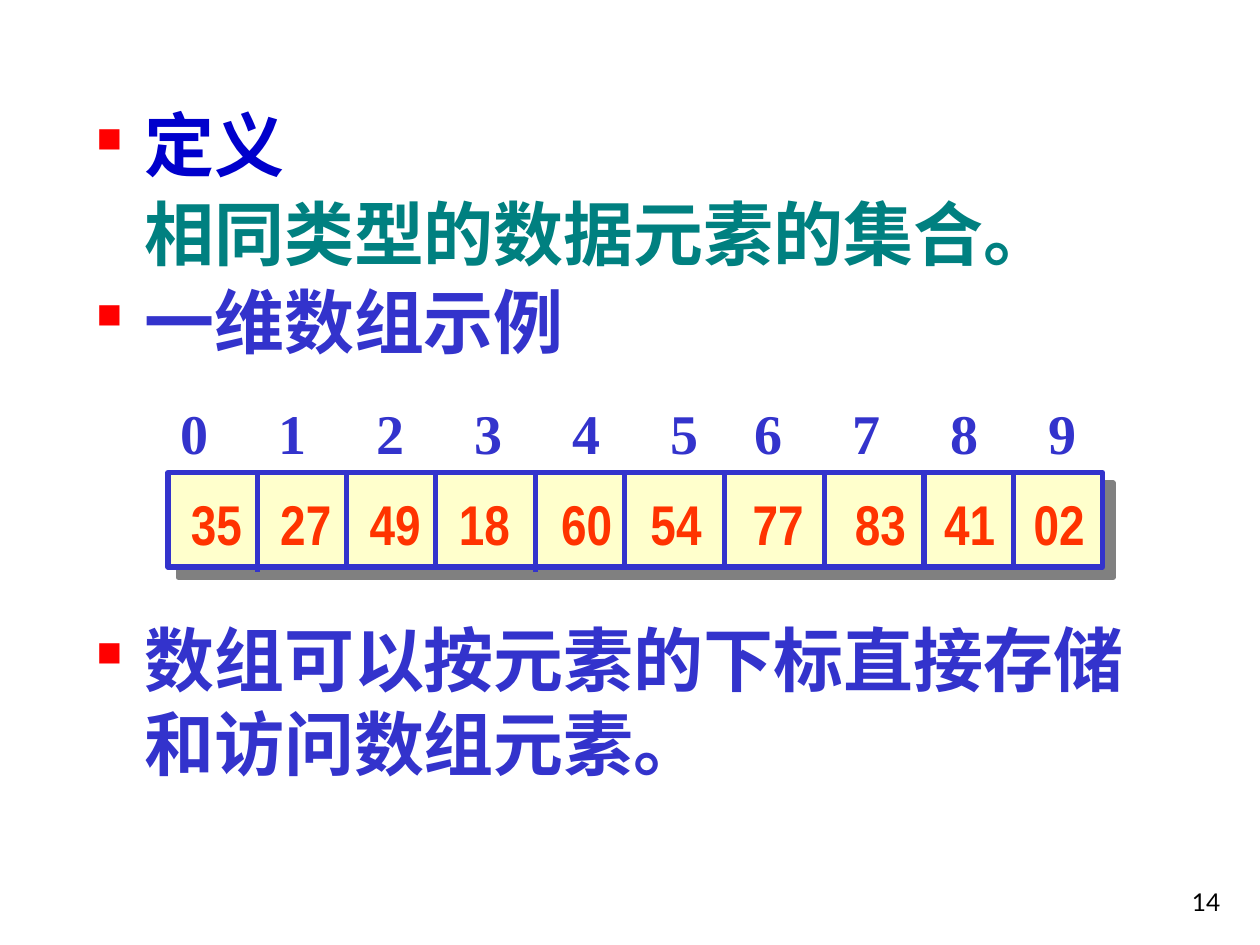
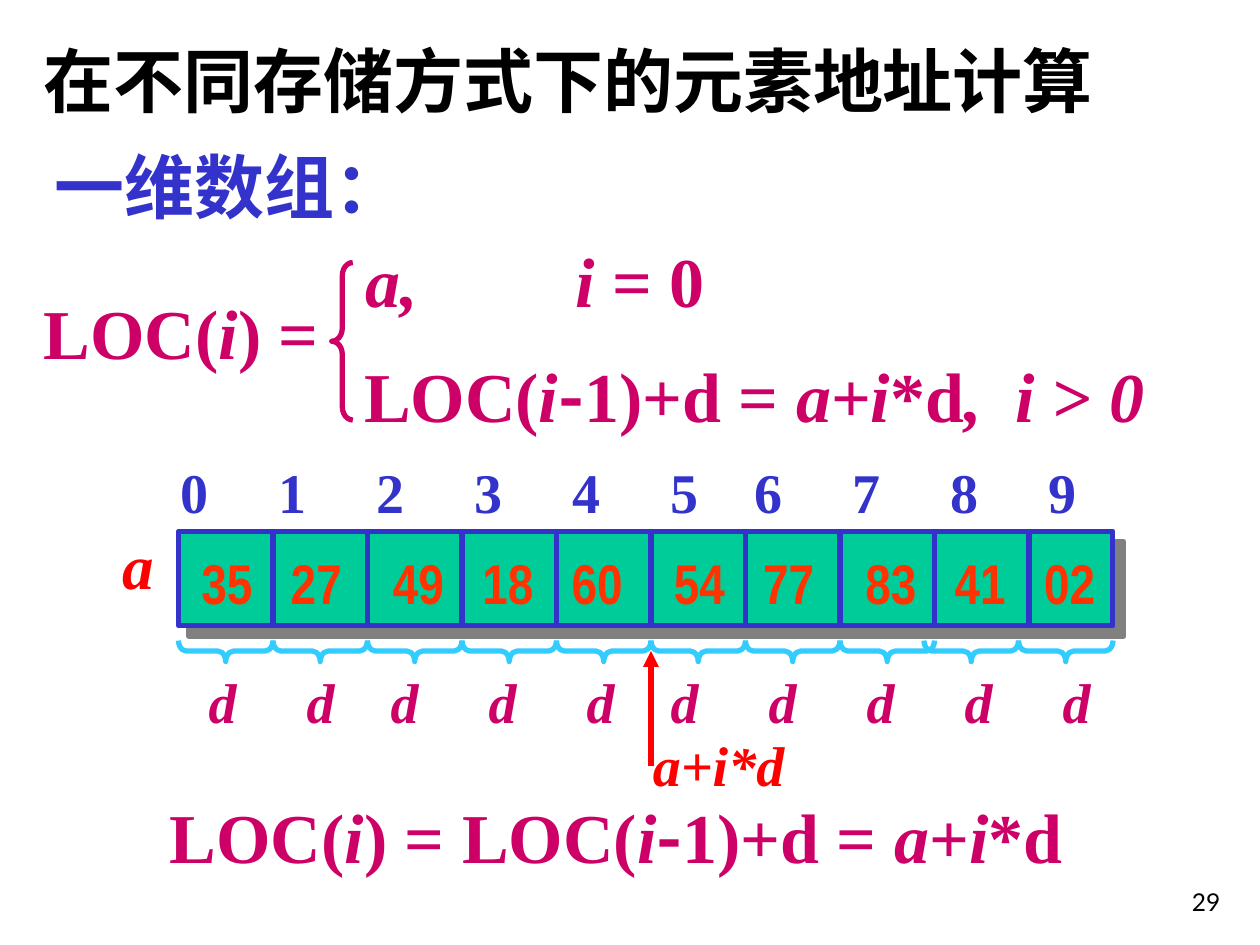
from itertools import accumulate

from lxml import etree
from pptx import Presentation
from pptx.dml.color import RGBColor
from pptx.enum.shapes import MSO_CONNECTOR, MSO_SHAPE
from pptx.enum.text import MSO_ANCHOR, PP_ALIGN
from pptx.oxml.ns import qn
from pptx.util import Inches, Pt

STRAIGHT = MSO_CONNECTOR.STRAIGHT
RECTANGLE = MSO_SHAPE.RECTANGLE
BRACE = MSO_SHAPE.LEFT_BRACE
BOTTOM = MSO_ANCHOR.BOTTOM
RIGHT = PP_ALIGN.RIGHT

COLORS = {
    "black": "000000",
    "navy": "0000CC",
    "blue": "3333CC",
    "teal": "008080",
    "green": "00CC99",
    "cream": "FFFFCC",
    "sky": "33CCFF",
    "pink": "CC0066",
    "orange": "FF3300",
    "red": "FF0000",
    "shadow": "808080",
}
SERIF = "Times New Roman"
NARROW = "Arial Narrow"
SANS = "Lato"
CJK = "Noto Sans CJK SC"

WIDTH, HEIGHT = Inches(10), Inches(7.5)
COLUMNS, ROWS = 120, 90
BODY_INDENT = Inches(0.38)

BAR_WIDTH, BAR_HEIGHT = 89, 9
INDEX_LEFT = 16
INDICES = [str(number) for number in range(10)]
INDEX_GAPS = [5, 5, 5, 5, 5, 4, 5, 5, 5]
VALUES = ["35", "27", "49", "18", "60", "54", "77", "83", "41", "02"]

LOC_I = [("LOC(", False), ("i", True)]
LOC_STEP = [
    ("LOC(", False), ("i", True), ("-", False, CJK), ("1)+d = ", False),
    ("a", True), ("+", False), ("i", True), ("*d", False),
]


def x(columns):
    return int(WIDTH * columns / COLUMNS)


def y(rows):
    return int(HEIGHT * rows / ROWS)


def color(name):
    return RGBColor.from_string(COLORS[name])


def add_child(parent, tag, **attributes):
    return etree.SubElement(parent, qn(tag), attributes)


def style(para, size, shade, name=SERIF, bold=True, italic=False):
    font = para.font
    font.size, font.name, font.bold, font.italic = Pt(size), name, bold, italic
    font.color.rgb = color(shade)


def add_tabs(para, stops):
    tabs = add_child(para._p.get_or_add_pPr(), "a:tabLst")
    for stop in stops:
        add_child(tabs, "a:tab", pos=str(int(stop)), algn="l")


def add_box(page, left, top, width, height):
    box = page.shapes.add_textbox(x(left), y(top), x(width), y(height))
    box.text_frame.word_wrap = True
    return box.text_frame


def add_text(page, area, text, size, shade, **font):
    para = add_box(page, *area).paragraphs[0]
    para.text = text
    style(para, size, shade, **font)
    return para


def add_formula(page, area, spans, stops=()):
    para = add_box(page, *area).paragraphs[0]
    if stops:
        add_tabs(para, stops)
    style(para, 40, "pink")
    for text, italic, *name in spans:
        span = para.add_run()
        span.text = text
        span.font.italic = italic
        if name:
            span.font.name = name[0]


def add_label_row(page, left, top, labels, gaps, shade, name=SERIF, italic=False):
    digit, space = (0.456, 0.228) if name == NARROW else (0.5, 0.25)
    steps = [Pt(32) * (digit * len(label) + space * gap)
             for label, gap in zip(labels, gaps)]
    para = add_box(page, left, top, 90, 7.6).paragraphs[0]
    add_tabs(para, accumulate(steps))
    style(para, 32, shade, name, italic=italic)
    para.add_run().text = "\t".join(labels)


def add_line(page, start, end, shade, arrow=False):
    line = page.shapes.add_connector(
        STRAIGHT, x(start[0]), y(start[1]), x(end[0]), y(end[1]))
    line.line.color.rgb = color(shade)
    line.line.width = Pt(3)
    properties = line._element.spPr
    if arrow:
        add_child(properties.find(qn("a:ln")), "a:tailEnd", type="triangle")
    add_child(properties, "a:effectLst")


def add_brace(page, center, middle, width, height, shade, curve, rotation=0):
    brace = page.shapes.add_shape(
        BRACE, x(center - width / 2), y(middle - height / 2), x(width), y(height))
    brace.adjustments[0] = curve
    brace.rotation = rotation
    brace.shadow.inherit = False
    brace.fill.background()
    brace.line.color.rgb = color(shade)
    brace.line.width = Pt(3)


def add_array(page, left, top, fill, cell_widths, value_gaps, overhangs=()):
    bar = page.shapes.add_shape(
        RECTANGLE, x(left), y(top), x(BAR_WIDTH), y(BAR_HEIGHT))
    bar.fill.solid()
    bar.fill.fore_color.rgb = color(fill)
    bar.line.color.rgb = color("blue")
    bar.line.width = Pt(3)
    bar.shadow.inherit = False
    effects = bar._element.spPr.find(qn("a:effectLst"))
    shadow = add_child(effects, "a:outerShdw", dist=str(Pt(8.5)),
                       dir="2700000", algn="ctr", rotWithShape="0")
    add_child(shadow, "a:srgbClr", val=COLORS["shadow"])

    add_label_row(page, left + 1, top + 1, VALUES, value_gaps, "orange", NARROW)
    for number, offset in enumerate(accumulate(cell_widths), 1):
        bottom = top + BAR_HEIGHT + (0.5 if number in overhangs else 0)
        add_line(page, (left + offset, top), (left + offset, bottom), "blue")
    add_label_row(page, INDEX_LEFT, top - 7.6, INDICES, INDEX_GAPS, "blue")


def add_bullet(para):
    properties = para._p.get_or_add_pPr()
    add_child(add_child(properties, "a:buClr"), "a:srgbClr", val=COLORS["red"])
    add_child(properties, "a:buSzPct", val="50000")
    add_child(properties, "a:buChar", char="■")


def add_points(page, left, top, width, height):
    points = [
        ("定义", "navy", True, 0),
        ("相同类型的数据元素的集合。", "teal", False, 2.5),
        ("一维数组示例", "blue", True, 2.5),
        ("数组可以按元素的下标直接存储和访问数组元素。", "blue", True, 145),
    ]
    frame = add_box(page, left, top, width, height)
    for number, (text, shade, bulleted, space) in enumerate(points):
        para = frame.add_paragraph() if number else frame.paragraphs[0]
        para.text = text
        properties = para._p.get_or_add_pPr()
        properties.set("marL", str(BODY_INDENT))
        properties.set("indent", str(-BODY_INDENT if bulleted else 0))
        if bulleted:
            add_bullet(para)
        if space:
            para.space_before = Pt(space)
        style(para, 40, shade)


def add_cases(page, left, top):
    add_formula(page, (left, top + 5, 29, 9.2), LOC_I + [(") =", False)])
    add_brace(page, left + 29.6, top + 10.5, 2, 15, "pink", 0.625)
    add_formula(page, (left + 30.6, top, 40, 9.2),
                [("a,\ti ", True), ("= 0", False)], [x(20)])
    add_formula(page, (left + 30.5, top + 11, 83, 9.2),
                LOC_STEP + [(",\ti > 0", True)], [x(62)])


def add_offsets(page, left, top):
    for cell in range(10):
        shift = 1 if cell >= 8 else 0
        add_brace(page, left + 9 * cell + 4.5 - shift, top + 1, 2, 9,
                  "sky", 0.375, 270)
    add_label_row(page, left + 1.7, top + 2, ["d"] * 10,
                  [5, 4, 5, 5, 4, 5, 5, 5, 5], "pink", italic=True)
    add_line(page, (left + 45, top + 12), (left + 45, top + 1), "red", arrow=True)
    add_text(page, (left + 44, top + 8, 18, 7.6), "a+i*d", 32, "red", italic=True)


def add_page(deck, number):
    page = deck.slides.add_slide(deck.slide_layouts[6])
    para = add_text(page, (92.4, 84.2, 25, 3.7), number, 14, "black",
                    name=SANS, bold=False)
    para.alignment = RIGHT
    page.shapes[0].text_frame.vertical_anchor = BOTTOM
    return page


def add_definition_page(deck):
    page = add_page(deck, "14")
    add_points(page, 8, 9.1, 103.8, 75)
    add_array(page, 16, 45, "cream", [8.5, 8.5, 8.5, 9.5, 8.5, 9.5, 9.5, 9.5, 8.5],
              [3, 3, 3, 4, 3, 4, 4, 3, 3], overhangs=(1, 4))


def add_address_page(deck):
    page = add_page(deck, "29")
    add_text(page, (3, 3, 108, 9.2), "在不同存储方式下的元素地址计算", 40, "black")
    subtitle = add_text(page, (4, 14, 39, 9), "一维数组：", 40, "blue")
    subtitle.line_spacing = 0.9
    add_cases(page, 3, 22)
    add_array(page, 17, 50.6, "green", [9] * 9, [3, 4, 3, 3, 4, 3, 4, 3, 3])
    add_text(page, (10.5, 49.6, 6, 8.4), "a", 36, "red", italic=True)
    add_offsets(page, 17, 61)
    add_formula(page, (15, 75, 100, 9.2), LOC_I + [(") = ", False)] + LOC_STEP)


def main():
    deck = Presentation()
    deck.slide_width, deck.slide_height = WIDTH, HEIGHT
    add_definition_page(deck)
    add_address_page(deck)
    deck.save("out.pptx")


if __name__ == "__main__":
    main()
